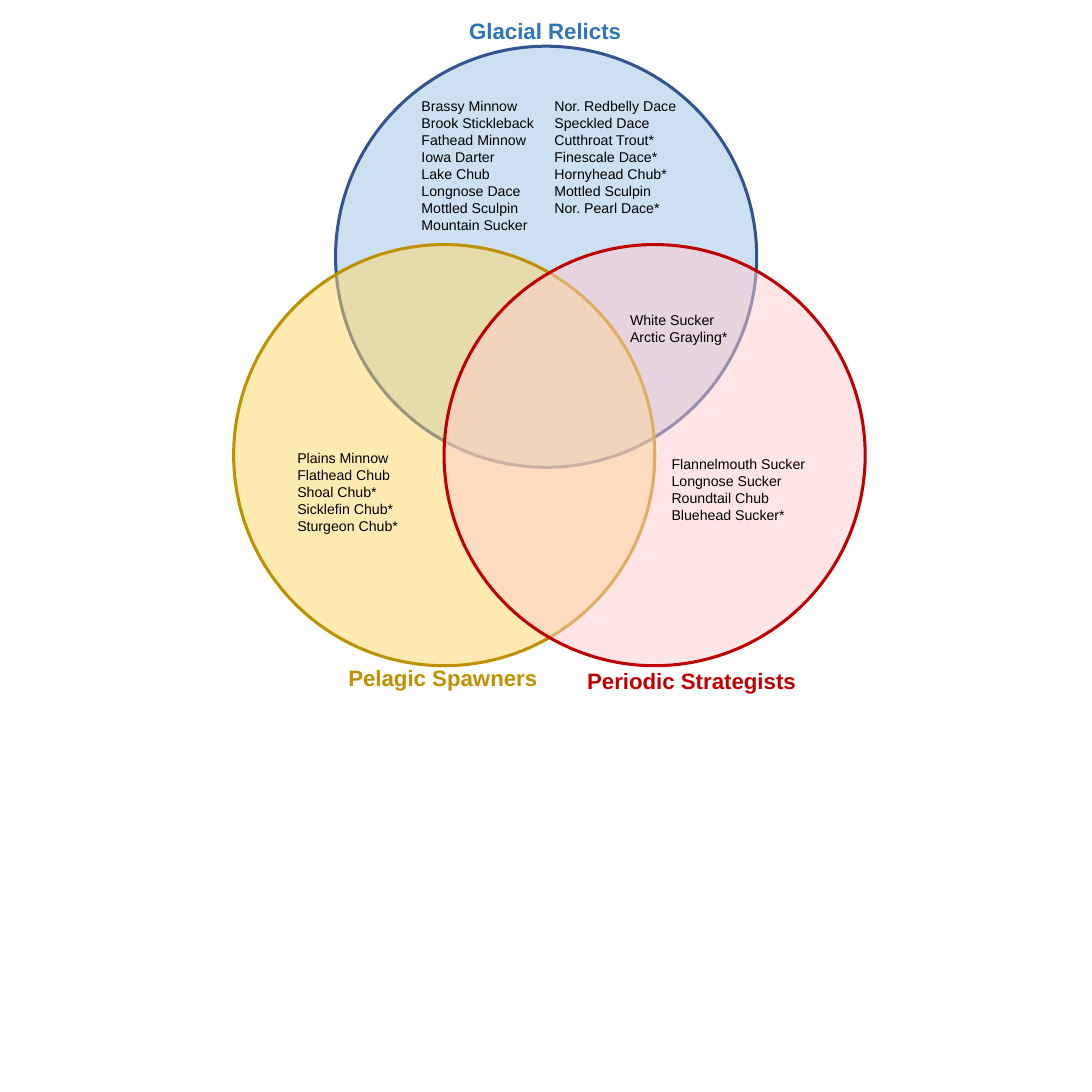
from dataclasses import dataclass

from pptx import Presentation
from pptx.dml.color import RGBColor
from pptx.enum.shapes import MSO_SHAPE
from pptx.enum.text import MSO_AUTO_SIZE
from pptx.oxml.ns import qn
from pptx.util import Pt
from lxml import etree

OVAL = MSO_SHAPE.OVAL
GROW = MSO_AUTO_SIZE.SHAPE_TO_FIT_TEXT


@dataclass(frozen=True)
class Theme:
    font: str = "Arial"
    label_size: int = 44
    list_size: int = 28
    line_width: int = 6
    opacity: int = 50
    text: str = "000000"
    relict_fill: str = "9DC3E6"
    relict_line: str = "325491"
    relict_label: str = "2E75B6"
    pelagic_fill: str = "FFD966"
    pelagic: str = "BF9000"
    periodic_fill: str = "FFCCCC"
    periodic: str = "C00000"


THEME = Theme()
SLIDE_SIDE = 2160
DIAMETER = 833
LOWER_TOP = 483.8

CIRCLES = [
    (663.8, 91.4, THEME.relict_fill, THEME.relict_line),
    (462.2, LOWER_TOP, THEME.pelagic_fill, THEME.pelagic),
    (878.4, LOWER_TOP, THEME.periodic_fill, THEME.periodic),
]

LABELS = [
    ("Glacial Relicts", (920.9, 31, 319, 60.5), THEME.relict_label),
    ("Pelagic Spawners", (681.8, 1310.4, 392.4, 60.5), THEME.pelagic),
    ("Periodic Strategists", (1154.2, 1316.2, 432, 60.5), THEME.periodic),
]

SPECIES = [
    ((826.6, 188.6, 559.4, 278.6),
     ["Brassy Minnow", "Brook Stickleback", "Fathead Minnow", "Iowa Darter",
      "Lake Chub", "Longnose Dace", "Mottled Sculpin", "Mountain Sucker"]),
    ((1089.4, 188.6, 327.6, 278.6),
     ["Nor. Redbelly Dace", "Speckled Dace", "Cutthroat Trout*",
      "Finescale Dace*", "Hornyhead Chub*", "Mottled Sculpin",
      "Nor. Pearl Dace*"]),
    ((1239.1, 612, 240.5, 113.8), ["White Sucker", "Arctic Grayling*"]),
    ((1321.2, 897.6, 536.4, 182.4),
     ["Flannelmouth Sucker", "Longnose Sucker", "Roundtail Chub",
      "Bluehead Sucker*"]),
    ((581, 884.9, 271.4, 249.8),
     ["Plains Minnow", "Flathead Chub", "Shoal Chub*", "Sicklefin Chub*",
      "Sturgeon Chub*"]),
]


def add_circle(s, left, top, fill, line):
    sp = s.shapes.add_shape(OVAL, Pt(left), Pt(top), Pt(DIAMETER), Pt(DIAMETER))
    sp.shadow.inherit = False
    sp.fill.solid()
    sp.fill.fore_color.rgb = RGBColor.from_string(fill)
    color = sp._element.spPr.find(qn("a:solidFill")).find(qn("a:srgbClr"))
    etree.SubElement(color, qn("a:alpha")).set("val", str(THEME.opacity * 1000))
    sp.line.color.rgb = RGBColor.from_string(line)
    sp.line.width = Pt(THEME.line_width)


def add_text(s, box, lines, size, color, bold=False, wrap=True):
    sp = s.shapes.add_textbox(*[Pt(v) for v in box])
    tf = sp.text_frame
    tf.word_wrap = wrap
    tf.auto_size = GROW
    for i, line in enumerate(lines):
        p = tf.add_paragraph() if i else tf.paragraphs[0]
        r = p.add_run()
        r.text = line
        r.font.name = THEME.font
        r.font.size = Pt(size)
        r.font.bold = bold
        r.font.color.rgb = RGBColor.from_string(color)


def main():
    prs = Presentation()
    prs.slide_width = prs.slide_height = Pt(SLIDE_SIDE)
    s = prs.slides.add_slide(prs.slide_layouts.get_by_name("Blank"))
    for left, top, fill, line in CIRCLES:
        add_circle(s, left, top, fill, line)
    for label, box, color in LABELS:
        add_text(s, box, [label], THEME.label_size, color, bold=True, wrap=False)
    for box, names in SPECIES:
        add_text(s, box, names, THEME.list_size, THEME.text)
    prs.save("out.pptx")


if __name__ == "__main__":
    main()
